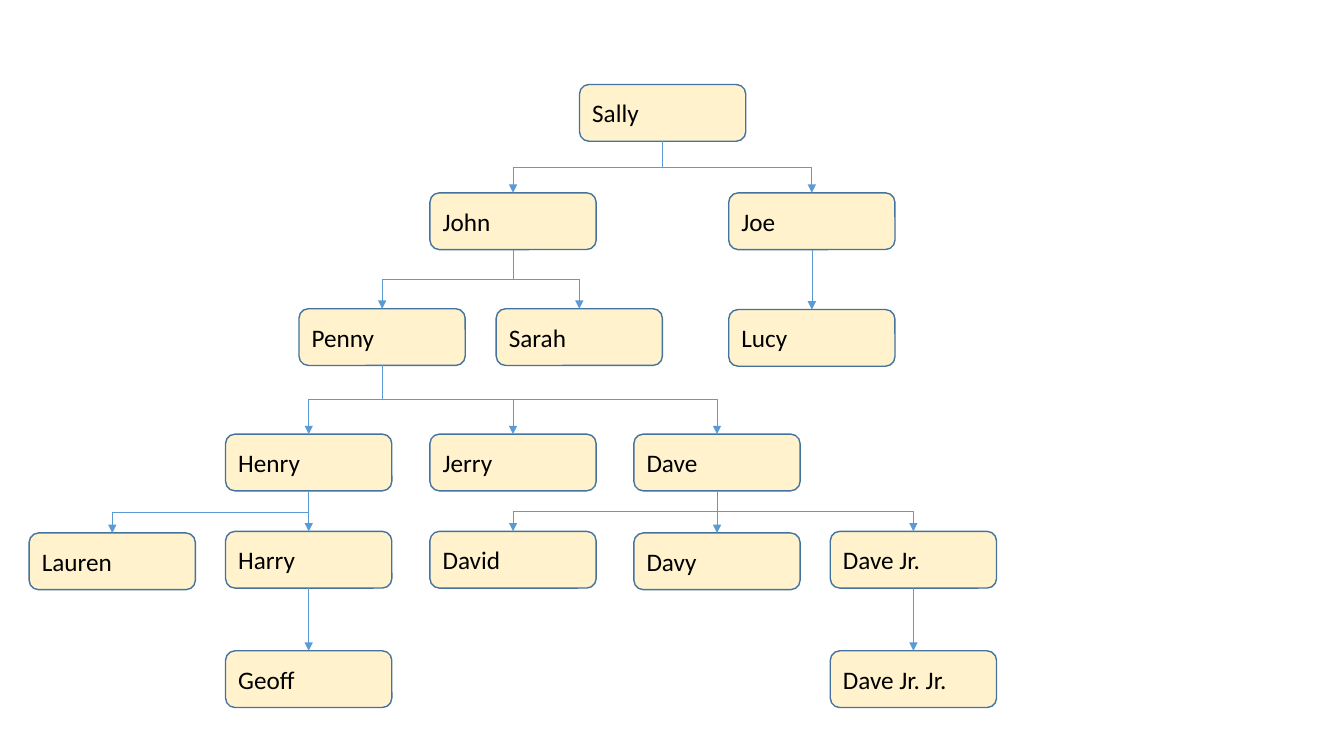
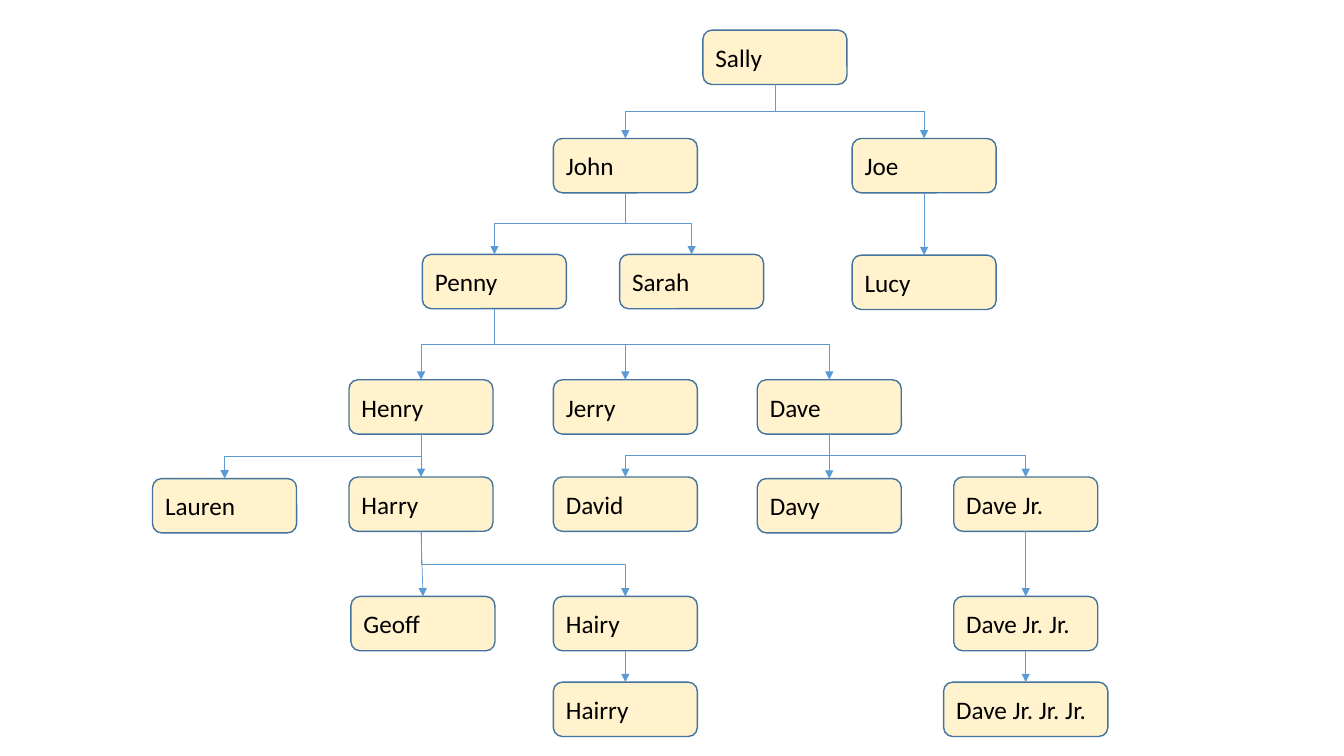
"""Build two family trees, the second one a generation deeper."""
import pptx
import pptx.util
import pptx.dml.color
import pptx.enum.shapes
import pptx.enum.text
import pptx.oxml
import pptx.oxml.ns
from lxml import etree

Cm, Pt = pptx.util.Cm, pptx.util.Pt
RGBColor = pptx.dml.color.RGBColor
Kind = pptx.enum.shapes.MSO_CONNECTOR
qn = pptx.oxml.ns.qn

CREAM = RGBColor(0xFF, 0xF2, 0xCC)
EDGE = RGBColor(0x43, 0x73, 0x9E)
BLUE = RGBColor(0x5B, 0x9B, 0xD5)
BLACK = RGBColor(0, 0, 0)
BOTTOM, TOP = 2, 0

# name: (centre, top, parent)
family = {
    "Sally": (16.7, 2.13, None),
    "Joe": (20.46, 4.86, "Sally"),
    "John": (12.93, 4.86, "Sally"),
    "Penny": (9.63, 7.78, "John"),
    "Sarah": (14.6, 7.78, "John"),
    "Henry": (7.78, 10.94, "Penny"),
    "Harry": (7.78, 13.39, "Henry"),
    "Geoff": (7.78, 16.4, "Harry"),
    "Lauren": (2.83, 13.43, "Henry"),
    "Jerry": (12.93, 10.94, "Penny"),
    "Dave": (18.07, 10.94, "Penny"),
    "Lucy": (20.46, 7.8, "Joe"),
    "David": (12.93, 13.39, "Dave"),
    "Davy": (18.07, 13.43, "Dave"),
    "Dave Jr.": (23.02, 13.39, "Dave"),
    "Dave Jr. Jr.": (23.02, 16.4, "Dave Jr."),
}
grown = family | {
    "Geoff": (7.83, 16.4, "Harry"),
    "Hairy": (12.93, 16.4, "Harry"),
    "Hairry": (12.93, 18.56, "Hairy"),
    "Dave Jr. Jr. Jr.": (23.02, 18.56, "Dave Jr. Jr."),
}
wide = {"Dave Jr. Jr. Jr.": 4.14}


def add_box(slide, name, mid, top, width, height):
    box = slide.shapes.add_shape(
        pptx.enum.shapes.MSO_SHAPE.ROUNDED_RECTANGLE,
        Cm(mid - width / 2), Cm(top), Cm(width), Cm(height))
    box.shadow.inherit = False
    box.fill.solid()
    box.fill.fore_color.rgb = CREAM
    box.line.color.rgb = EDGE
    box.line.width = Pt(1)
    box.text_frame.text = name
    box.text_frame.vertical_anchor = pptx.enum.text.MSO_ANCHOR.MIDDLE
    para = box.text_frame.paragraphs[0]
    para.alignment = pptx.enum.text.PP_ALIGN.JUSTIFY
    para.font.name = "Calibri"
    para.font.size = Pt(18)
    para.font.color.rgb = BLACK
    return box


def add_link(slide, elder, child):
    x, y = elder.left + elder.width // 2, elder.top + elder.height
    end = child.left + child.width // 2
    run, drop = end - x, child.top - y
    bent = abs(run) > Cm(0.2)
    link = slide.shapes.add_connector(
        Kind.ELBOW if bent else Kind.STRAIGHT, x, y, end, child.top)
    link.begin_connect(elder, BOTTOM)
    link.end_connect(child, TOP)
    link.line.color.rgb = BLUE
    link.line.width = Pt(0.5)
    props = link._element.spPr
    etree.SubElement(props.find(qn("a:ln")), qn("a:tailEnd"), type="triangle")
    etree.SubElement(props, qn("a:effectLst"))
    if bent:
        link.left = x + (run - drop) // 2
        link.top = y + (drop - abs(run)) // 2
        link.width, link.height = drop, abs(run)
        frame = props.find(qn("a:xfrm"))
        frame.set("rot", str((270 if run > 0 else 90) * 60000))
        frame.set("flipH", "1" if run > 0 else "0")


deck = pptx.Presentation()
deck.slide_width, deck.slide_height = Cm(33.87), Cm(19.05)

for people, dx, dy, width, height in (
        (family, 0, 0, 4.19, 1.43),
        (grown, 2.83, -1.37, 3.63, 1.37)):
    slide = deck.slides.add_slide(deck.slide_layouts[6])
    boxes = {
        name: add_box(slide, name, mid + dx, top + dy,
                      wide.get(name, width), height)
        for name, (mid, top, elder) in people.items()}
    for name, (mid, top, elder) in people.items():
        if elder:
            add_link(slide, boxes[elder], boxes[name])

deck.save("out.pptx")
